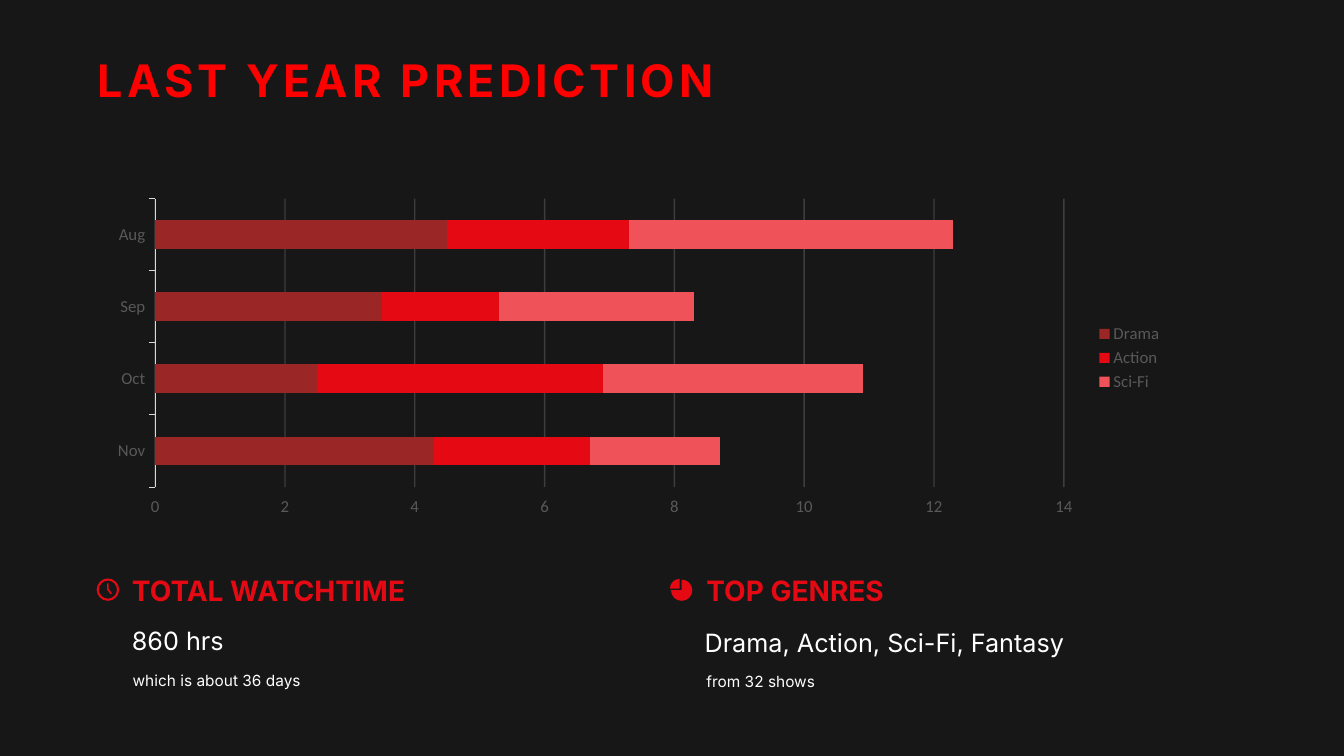
from dataclasses import dataclass
from math import cos, radians, sin

from pptx import Presentation
from pptx.chart.data import CategoryChartData
from pptx.dml.color import RGBColor
from pptx.enum.chart import XL_CHART_TYPE, XL_LEGEND_POSITION, XL_TICK_MARK
from pptx.enum.text import MSO_ANCHOR, MSO_AUTO_SIZE, PP_ALIGN
from pptx.oxml.xmlchemy import OxmlElement
from pptx.util import Inches, Pt


@dataclass(frozen=True)
class Theme:
    background = RGBColor.from_string("181717")
    title = RGBColor.from_string("FF0000")
    accent = RGBColor.from_string("E50914")
    body = RGBColor.from_string("FFFFFF")
    axis_text = RGBColor.from_string("595959")
    axis_line = RGBColor.from_string("D9D9D9")
    drama = RGBColor.from_string("9A2626")
    sci_fi = RGBColor.from_string("F0525A")
    text_font = "Inter"
    chart_font = "Calibri"
    title_size = Pt(32)
    heading_size = Pt(20)
    figure_size = Pt(18)
    note_size = Pt(11)
    chart_size = Pt(12)


theme = Theme()
presentation = Presentation()
presentation.slide_width = Inches(13.33)
presentation.slide_height = Inches(7.5)
column = presentation.slide_width / 100
row = presentation.slide_height / 100
slide = presentation.slides.add_slide(presentation.slide_layouts[5])
slide.background.fill.solid()
slide.background.fill.fore_color.rgb = theme.background


def write_text(shape, box, text, size, color, bold):
    left, top, width, height = box
    shape.left, shape.width = int(left * column), int(width * column)
    shape.top, shape.height = int(top * row), int(height * row)
    frame = shape.text_frame
    frame.text = text
    frame.word_wrap = False
    frame.auto_size = MSO_AUTO_SIZE.SHAPE_TO_FIT_TEXT
    frame.vertical_anchor = MSO_ANCHOR.TOP
    frame.paragraphs[0].alignment = PP_ALIGN.LEFT
    font = frame.paragraphs[0].runs[0].font
    font.name, font.size, font.bold = theme.text_font, size, bold
    font.color.rgb = color


def arc_points(center_x, center_y, radius, start, quarters):
    points = []
    for quarter in range(quarters + 1):
        angle = radians(start + 90 * quarter)
        for bend in (-0.55, 0, 0.55):
            points.append((center_x + radius * (cos(angle) - bend * sin(angle)),
                           center_y + radius * (sin(angle) + bend * cos(angle))))
    return points[1:-1]


title = slide.shapes.title
write_text(title, (6.53, 6.27, 48.16, 8.53), "LAST YEAR PREDICTION",
           theme.title_size, theme.title, True)
title.text_frame.paragraphs[0].runs[0].font._element.set("spc", "300")

chart_data = CategoryChartData()
chart_data.categories = ["Nov", "Oct", "Sep", "Aug"]
genres = [
    ("Drama", (4.3, 2.5, 3.5, 4.5), theme.drama),
    ("Action", (2.4, 4.4, 1.8, 2.8), theme.accent),
    ("Sci-Fi", (2, 4, 3, 5), theme.sci_fi),
]
for name, values, color in genres:
    chart_data.add_series(name, values)
chart = slide.shapes.add_chart(
    XL_CHART_TYPE.BAR_STACKED, int(7.17 * column), int(25.4 * row),
    int(80.12 * column), int(43.87 * row), chart_data,
).chart
chart.has_title = False
chart.font.name = theme.chart_font
chart.font.size = theme.chart_size
chart.font.color.rgb = theme.axis_text
chart.has_legend = True
chart.legend.position = XL_LEGEND_POSITION.RIGHT
chart.legend.include_in_layout = False

plot = chart.plots[0]
plot.gap_width = 150
plot.overlap = 100
plot.vary_by_categories = False
for series, (name, values, color) in zip(plot.series, genres):
    series.format.fill.solid()
    series.format.fill.fore_color.rgb = color

months = chart.category_axis
months.has_major_gridlines = False
months.major_tick_mark = XL_TICK_MARK.OUTSIDE
months.format.line.color.rgb = theme.axis_line
months.format.line.width = Pt(0.75)

scale = chart.value_axis
scale.minimum_scale = 0
scale.maximum_scale = 14
scale.major_unit = 2
scale.major_tick_mark = XL_TICK_MARK.OUTSIDE
scale.format.line.fill.background()
scale.has_major_gridlines = True
grid_line = scale.major_gridlines.format.line
grid_line.color.rgb = theme.axis_line
grid_line.width = Pt(1)
alpha = OxmlElement("a:alpha")
alpha.set("val", "20000")
grid_line.fill._xPr.find(".//{*}srgbClr").append(alpha)

text_styles = [
    (theme.heading_size, theme.accent, True, 5.87),
    (theme.figure_size, theme.body, False, 5.33),
    (theme.note_size, theme.body, False, 3.87),
]
summaries = [
    [
        ("TOTAL WATCHTIME", 9.08, 75.2, 22.06),
        ("860 hrs", 9.08, 82, 8.4),
        ("which is about 36 days", 9.13, 88.13, 14.18),
    ],
    [
        ("TOP GENRES", 51.82, 75.2, 14.85),
        ("Drama, Action, Sci-Fi, Fantasy", 51.69, 82.33, 28.43),
        ("from 32 shows", 51.82, 88.27, 9.68),
    ],
]
for summary in summaries:
    for (text, left, top, width), (size, color, bold, height) in zip(summary, text_styles):
        label = slide.shapes.add_textbox(0, 0, 0, 0)
        write_text(label, (left, top, width, height), text, size, color, bold)

clock_hands = [(-0.07, -0.55), (0.07, -0.55), (0.07, -0.06), (0.36, 0.32), (0.26, 0.42), (-0.07, 0)]
clock_icon = [
    (0, clock_hands),
    (4, arc_points(0, 0, 0.81, 0, 4)[::-1]),
    (4, arc_points(0, 0, 1, 0, 4)),
]
pie_icon = [
    (1, arc_points(-0.12, -0.09, 0.88, 180, 1) + [(-0.12, -0.09)]),
    (3, arc_points(0, 0, 1, -90, 3) + [(0, 0.1), (0.1, 0.1), (0.1, 0)]),
]
pie_icon[1] = (3, arc_points(0.05, 0.05, 0.95, -90, 3) + [(0.05, 0.05)])
radius = 1.48 * row
for center_column, outlines in [(8.03, clock_icon), (50.68, pie_icon)]:
    center_x, center_y = center_column * column, 78 * row
    contours = [
        [(center_x + x * radius, center_y + y * radius) for x, y in points]
        for quarters, points in outlines
    ]
    builder = slide.shapes.build_freeform(*contours[0][0])
    builder.add_line_segments(contours[0][1:], close=True)
    for contour in contours[1:]:
        builder.move_to(*contour[0])
        builder.add_line_segments(contour[1:], close=True)
    icon = builder.convert_to_shape()
    outline_path = icon._element.find(".//{*}path")
    starts = outline_path.findall("{*}moveTo")
    for start, (quarters, points) in zip(starts, outlines):
        segment = start
        for quarter in range(quarters):
            curve = OxmlElement("a:cubicBezTo")
            segment.addnext(curve)
            for control in range(3):
                line = curve.getnext()
                curve.append(line[0])
                outline_path.remove(line)
            segment = curve
    icon.shadow.inherit = False
    icon.fill.solid()
    icon.fill.fore_color.rgb = theme.accent
    icon.line.fill.background()

presentation.save("out.pptx")
